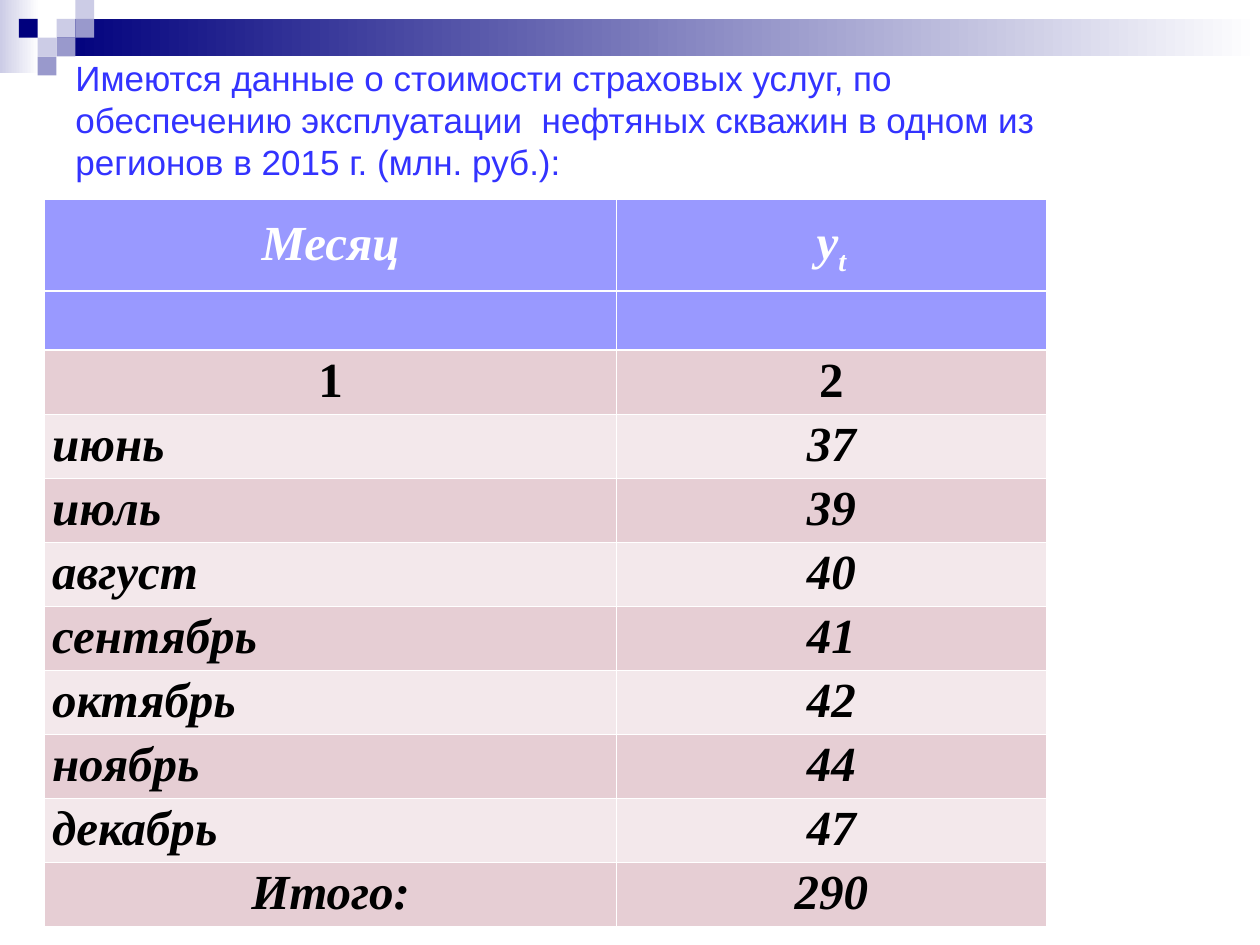
import lxml.etree
import pptx
import pptx.dml.color
import pptx.enum.shapes
import pptx.enum.text
import pptx.oxml.ns
import pptx.util

Cm = pptx.util.Cm
RGBColor = pptx.dml.color.RGBColor
ALIGN = pptx.enum.text.PP_ALIGN
ANCHOR = pptx.enum.text.MSO_ANCHOR

WHITE = RGBColor(0xFF, 0xFF, 0xFF)
BLACK = RGBColor(0x00, 0x00, 0x00)
NAVY = RGBColor(0x00, 0x00, 0x7D)
PALE = RGBColor(0xCC, 0xCC, 0xE6)
LILAC = RGBColor(0x99, 0x99, 0xCC)
TITLE_BLUE = RGBColor(0x33, 0x33, 0xFF)
HEADER = RGBColor(0x99, 0x99, 0xFF)
BAND_DARK = RGBColor(0xE6, 0xCE, 0xD4)
BAND_LIGHT = RGBColor(0xF3, 0xE8, 0xEB)

TITLE = (
    "Имеются данные о стоимости страховых услуг, по обеспечению "
    "эксплуатации  нефтяных скважин в одном из регионов в 2015 г. (млн. руб.):"
)
MONTHS = {
    "июнь": 37, "июль": 39, "август": 40, "сентябрь": 41,
    "октябрь": 42, "ноябрь": 44, "декабрь": 47,
}
ROWS = [
    ("Месяц", "y"), ("", ""), ("1", "2"),
    *((month, str(value)) for month, value in MONTHS.items()),
    ("Итого:", str(sum(MONTHS.values()))),
]
HEADER_ROWS = 2
COLUMN_WIDTHS = [11.53, 8.66]
ROW_HEIGHTS = [1.85, 1.19] + [1.29] * (len(ROWS) - HEADER_ROWS)
SQUARE = 0.38
SQUARES = [
    (3, 1, PALE), (4, 0, PALE), (4, 1, LILAC), (2, 2, PALE),
    (1, 1, NAVY), (3, 2, LILAC), (2, 3, LILAC),
]


def apply_format(target, values):
    for name, value in values.items():
        setattr(target, name, value)


def add_block(slide, left, top, width, height, color, fade=False):
    shape = slide.shapes.add_shape(
        pptx.enum.shapes.MSO_SHAPE.RECTANGLE, Cm(left), Cm(top), Cm(width), Cm(height)
    )
    shape.shadow.inherit = False
    shape.line.fill.background()
    if fade:
        shape.fill.gradient()
        shape.fill.gradient_angle = 0
        for stop, stop_color in zip(shape.fill.gradient_stops, (color, WHITE)):
            stop.color.rgb = stop_color
    else:
        shape.fill.solid()
        shape.fill.fore_color.rgb = color


def add_ornament(slide, left, top, width):
    bar_left = 3 * SQUARE
    add_block(slide, left, top, 0.79, 1.47, PALE, fade=True)
    add_block(slide, left + bar_left, top + SQUARE, width - bar_left, 2 * SQUARE, NAVY, fade=True)
    for column, row, color in SQUARES:
        add_block(slide, left + column * SQUARE, top + row * SQUARE, SQUARE, SQUARE, color)


def add_title(slide, left, top, width, height):
    box = slide.shapes.add_textbox(Cm(left), Cm(top), Cm(width), Cm(height))
    apply_format(box.text_frame, {"word_wrap": True, "vertical_anchor": ANCHOR.MIDDLE})
    run = box.text_frame.paragraphs[0].add_run()
    run.text = TITLE
    apply_format(run.font, {"name": "Arial", "size": pptx.util.Pt(20)})
    run.font.color.rgb = TITLE_BLUE


def set_borders(cell, widths):
    properties = cell._tc.get_or_add_tcPr()
    qn = pptx.oxml.ns.qn
    for side, width in widths.items():
        line = lxml.etree.SubElement(properties, qn(f"a:ln{side}"), w=str(pptx.util.Pt(width)))
        fill = lxml.etree.SubElement(line, qn("a:solidFill"))
        lxml.etree.SubElement(fill, qn("a:srgbClr"), val=str(WHITE))


def add_cell_run(paragraph, text, color, italic):
    run = paragraph.add_run()
    run.text = text
    apply_format(run.font, {
        "name": "Times New Roman", "size": pptx.util.Pt(28), "bold": True, "italic": italic,
    })
    run.font.color.rgb = color
    return run


def fill_cell(cell, text, row, column):
    is_header = row < HEADER_ROWS
    set_borders(cell, {
        "L": 0.45, "R": 0.45,
        "T": 1.47 if 0 < row <= HEADER_ROWS else 0.45,
        "B": 1.47 if is_header else 0.45,
    })
    cell.fill.solid()
    cell.fill.fore_color.rgb = HEADER if is_header else (BAND_DARK, BAND_LIGHT)[row % 2]
    if not text:
        return
    apply_format(cell, {
        "margin_left": Cm(0.1), "margin_right": Cm(0.1),
        "margin_top": Cm(0.13), "margin_bottom": Cm(0.13 if is_header else 0.02),
        "vertical_anchor": ANCHOR.MIDDLE if is_header else ANCHOR.TOP,
    })
    is_month = column == 0 and text in MONTHS
    paragraph = cell.text_frame.paragraphs[0]
    apply_format(paragraph, {
        "alignment": ALIGN.LEFT if is_month else ALIGN.CENTER, "line_spacing": 0.95,
    })
    if is_month:
        paragraph._p.get_or_add_pPr().set("marL", str(Cm(0.05)))
    color = WHITE if is_header else BLACK
    add_cell_run(paragraph, text, color, italic=row != HEADER_ROWS)
    if text == "y":
        subscript = add_cell_run(paragraph, "t", color, italic=True)
        subscript._r.get_or_add_rPr().set("baseline", "-25000")


def add_data_table(slide, left, top):
    table = slide.shapes.add_table(
        len(ROWS), len(COLUMN_WIDTHS), Cm(left), Cm(top),
        Cm(sum(COLUMN_WIDTHS)), Cm(sum(ROW_HEIGHTS)),
    ).table
    for column, width in zip(table.columns, COLUMN_WIDTHS):
        column.width = Cm(width)
    for row, height in zip(table.rows, ROW_HEIGHTS):
        row.height = Cm(height)
    for row, texts in enumerate(ROWS):
        for column, text in enumerate(texts):
            fill_cell(table.cell(row, column), text, row, column)


def main():
    presentation = pptx.Presentation()
    apply_format(presentation, {"slide_width": Cm(25.4), "slide_height": Cm(19.05)})
    slide = presentation.slides.add_slide(presentation.slide_layouts[6])
    add_ornament(slide, 0, 0, 25.4)
    add_title(slide, 1.27, 0.89, 20.12, 3.02)
    add_data_table(slide, 0.9, 4.02)
    presentation.save("out.pptx")


if __name__ == "__main__":
    main()
